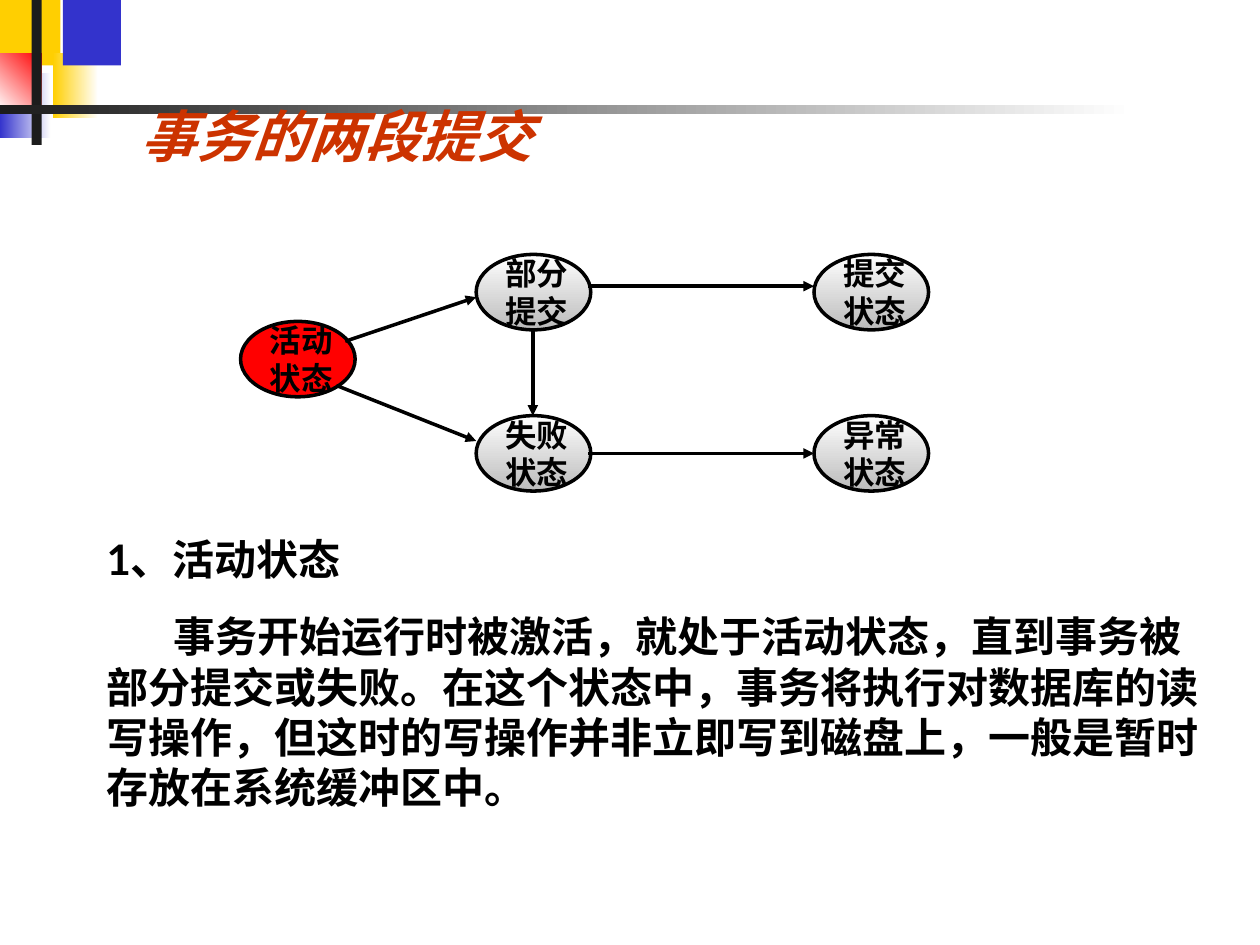
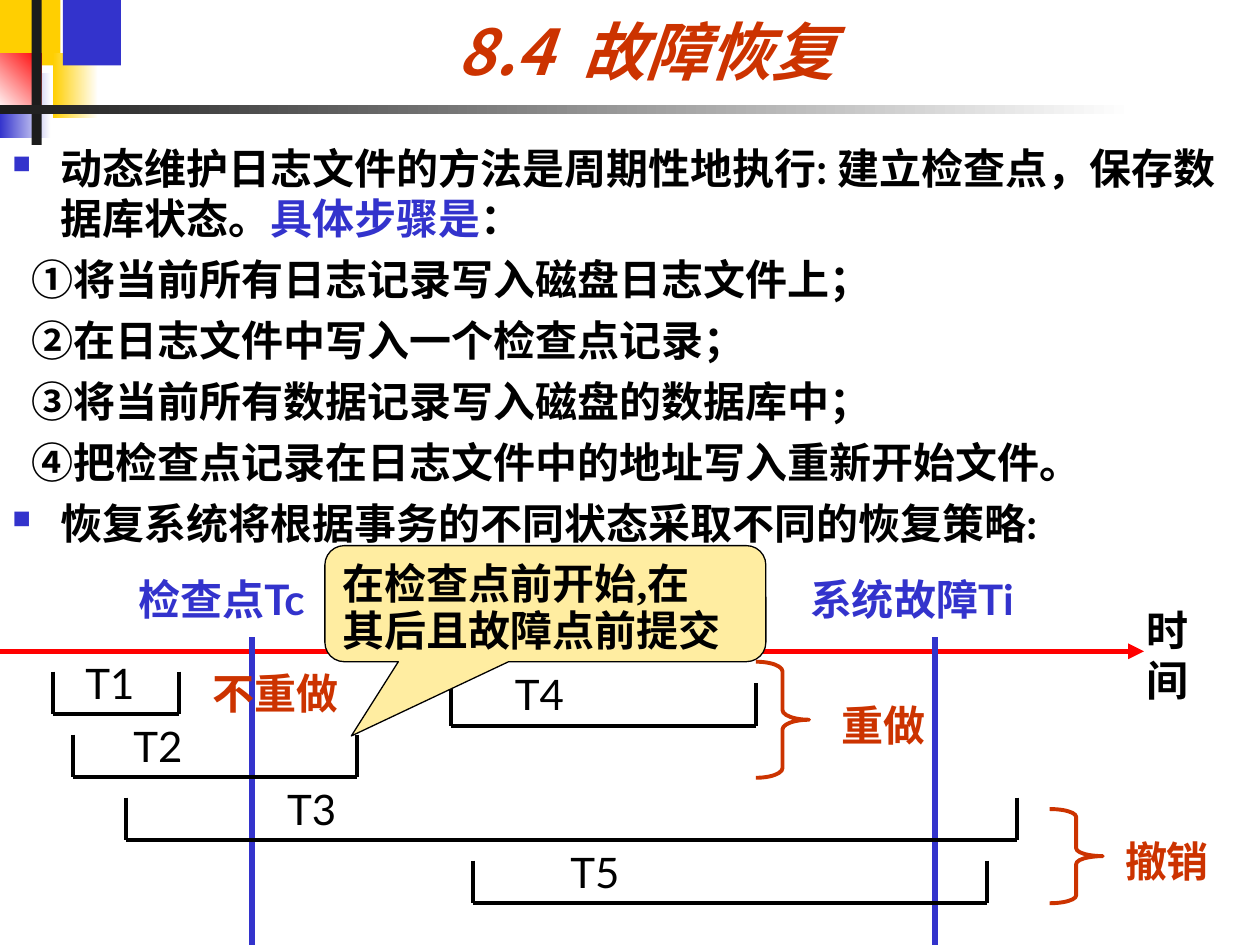
from lxml import etree
from pptx import Presentation
from pptx.dml.color import RGBColor
from pptx.enum.shapes import MSO_CONNECTOR, MSO_SHAPE
from pptx.enum.text import MSO_ANCHOR, MSO_AUTO_SIZE, PP_ALIGN
from pptx.oxml.ns import qn
from pptx.util import Cm, Pt

RECTANGLE, ELLIPSE = MSO_SHAPE.RECTANGLE, MSO_SHAPE.OVAL
BRACE, CALLOUT = MSO_SHAPE.RIGHT_BRACE, MSO_SHAPE.ROUNDED_RECTANGULAR_CALLOUT
STRAIGHT = MSO_CONNECTOR.STRAIGHT
TOP, MIDDLE, BOTTOM = MSO_ANCHOR.TOP, MSO_ANCHOR.MIDDLE, MSO_ANCHOR.BOTTOM
LEFT, CENTER = PP_ALIGN.LEFT, PP_ALIGN.CENTER
NO_FIT = MSO_AUTO_SIZE.NONE

BLACK, WHITE, CHARCOAL, GREY = "000000", "FFFFFF", "1C1C1C", "BBBBBB"
RED, BLUE, YELLOW, CREAM, RUST = "FF0000", "3333CC", "FFCF01", "FFEDA1", "CC3300"
LATO, NOTO, TIMES = "Lato", "Noto Sans CJK SC", "Times New Roman"
HANGING = 0.97
LABEL_HEIGHT = 1.27

# Corner motif and rule: left, top, width, height, fill
DECORATION = [
    (0, 0, 1.22, 1.32, YELLOW),
    (1.07, 1.07, 0.91, 1.32, (YELLOW, WHITE, 0)),
    (1.27, 0, 1.17, 1.32, BLUE),
    (0, 1.47, 1.02, 1.32, (BLUE, WHITE, 0)),
    (0, 1.07, 0.84, 1.17, (WHITE, RED, 315)),
    (0.64, 0, 0.2, 2.92, CHARCOAL),
    (0, 2.11, 22.86, 0.2, (CHARCOAL, WHITE, 0)),
]


def rgb(color):
    return RGBColor.from_string(color)


def lengths(*values):
    return [Cm(value) for value in values]


def paint(shape, fill):
    """Fill with a colour, with (start, end, clockwise angle), or with nothing."""
    if fill is None:
        shape.fill.background()
    elif isinstance(fill, str):
        shape.fill.solid()
        shape.fill.fore_color.rgb = rgb(fill)
    else:
        start, end, angle = fill
        shape.fill.gradient()
        shape.fill.gradient_angle = (360 - angle) % 360
        for stop, color in zip(shape.fill.gradient_stops, (start, end)):
            stop.color.rgb = rgb(color)


def add_shape(page, kind, area, fill=None, line=None, weight=1):
    shape = page.shapes.add_shape(kind, *lengths(*area))
    shape.shadow.inherit = False
    paint(shape, fill)
    if line:
        shape.line.color.rgb = rgb(line)
        shape.line.width = Pt(weight)
    else:
        shape.line.fill.background()
    return shape


def add_line(page, start, end, color=BLACK, weight=2.0, arrow=False):
    line = page.shapes.add_connector(STRAIGHT, *lengths(*start, *end))
    line.line.color.rgb = rgb(color)
    line.line.width = Pt(weight)
    if arrow:
        etree.SubElement(line.line._get_or_add_ln(), qn("a:tailEnd"), type="triangle")
    etree.SubElement(line.element.spPr, qn("a:effectLst"))


def style(span, size, color, bold=True, italic=False, font=LATO):
    span.font.size = Pt(size)
    span.font.bold = bold
    span.font.italic = italic
    span.font.color.rgb = rgb(color)
    span.font.name = font
    etree.SubElement(span.font._element, qn("a:ea"), typeface=NOTO)


def write(frame, lines, size=24, color=BLACK, before=0, align=LEFT, **look):
    """Write one paragraph per line; a line given as a tuple holds several runs."""
    frame.text = "\n".join("" if isinstance(line, tuple) else line for line in lines)
    for number, (para, line) in enumerate(zip(frame.paragraphs, lines)):
        if isinstance(line, tuple):
            for part in line:
                para.add_run().text = part
        para.alignment = align
        para.space_before = Pt(before if number else 0)
        for span in para.runs:
            style(span, size, color, **look)


def indent(para, margin, first=0.0):
    properties = para._p.get_or_add_pPr()
    properties.set("marL", str(Cm(margin)))
    properties.set("indent", str(Cm(first)))
    return properties


def add_bullet(para):
    properties = indent(para, HANGING, -HANGING)
    tint = etree.SubElement(properties, qn("a:buClr"))
    etree.SubElement(tint, qn("a:srgbClr"), val=BLUE)
    etree.SubElement(properties, qn("a:buSzPct"), val="60000")
    etree.SubElement(properties, qn("a:buChar"), char="■")


def add_text(page, area, lines, wrap=True, **look):
    frame = page.shapes.add_textbox(*lengths(*area)).text_frame
    frame.word_wrap = wrap
    write(frame, lines, **look)
    return frame


def set_title(page, area, line, **look):
    title = page.shapes.title
    title.left, title.top, title.width, title.height = lengths(*area)
    frame = title.text_frame
    write(frame, [line], color=RUST, italic=True, **look)
    frame.auto_size = NO_FIT
    frame.vertical_anchor = BOTTOM
    return frame


def decorate_layout(layout, page):
    """Draw the decoration on a page, then move it behind the layout's placeholders."""
    for number, (*area, fill) in enumerate(DECORATION):
        element = add_shape(page, RECTANGLE, area, fill).element
        element.nvSpPr.cNvPr.set("id", str(20 + number))
        layout.shapes.element.insert(2 + number, element)


def add_state(page, left, top, lines, fill=(WHITE, GREY, 90)):
    state = add_shape(page, ELLIPSE, (left, top, 2.31, 1.52), fill, BLACK, 2)
    frame = state.text_frame
    frame.word_wrap = False
    frame.vertical_anchor = MIDDLE
    write(frame, lines, size=18)
    for para in frame.paragraphs:
        indent(para, HANGING, -HANGING)


def add_transaction(page, name, left, right, top, label_left, label_width):
    """Bracket the lifetime of a transaction and name it."""
    base = top + 0.86
    for start, end in [((left, top), (left, base)), ((right, top), (right, base)),
                       ((left, base), (right, base))]:
        add_line(page, start, end, weight=2.25)
    add_text(page, (label_left, top - 0.42, label_width, LABEL_HEIGHT), [name], bold=False)


def add_time_mark(page, x, label, label_left, label_width):
    add_line(page, (x, 12.85), (x, 19.05), BLUE, 3)
    add_text(page, (label_left, 11.43, label_width, LABEL_HEIGHT), [label], color=BLUE)


def add_brace(page, left, top, height, label, label_left, label_top):
    width = 1.07
    brace = add_shape(page, BRACE, (left, top, width, height), None, RUST, 2.25)
    brace.adjustments[0] = height / 12 / width
    add_text(page, (label_left, label_top, 2.34, LABEL_HEIGHT), [label], color=RUST)


def build_states(page):
    set_title(page, (2.57, 1.96, 20.52, 1.57), "事务的两段提交", size=32)
    middle, right, upper, lower = 9.6, 16.41, 5.13, 8.38
    add_state(page, 4.85, 6.48, ["活动", "状态"], RED)
    add_state(page, middle, upper, ["部分", "提交"])
    add_state(page, middle, lower, ["失败", "状态"])
    add_state(page, right, upper, ["提交", "状态"])
    add_state(page, right, lower, ["异常", "状态"])
    for start, end in [
        ((6.96, 6.88), (middle, 5.99)),
        ((6.78, 7.77), (middle, 8.89)),
        ((10.74, 6.63), (10.74, lower)),
        ((11.86, 5.77), (right, 5.77)),
        ((11.86, 9.14), (right, 9.14)),
    ]:
        add_line(page, start, end, arrow=True)
    frame = add_text(page, (1.9, 10.64, 22.61, 5.87), [
        "1、活动状态",
        "事务开始运行时被激活，就处于活动状态，直到事务被部分提交或失败。"
        "在这个状态中，事务将执行对数据库的读写操作，但这时的写操作并非立即写到磁盘上，"
        "一般是暂时存放在系统缓冲区中。",
    ], before=15)
    indent(frame.paragraphs[1], 0, 1.35)


def build_recovery(page):
    title = set_title(page, (2.97, 0, 20.12, 1.9), ("8.4", " ", "故障恢复"),
                      size=36, align=CENTER, font=NOTO)
    title.paragraphs[0].runs[1].font._element.set("spc", "900")

    steps = add_text(page, (0, 2.74, 25.4, 8.46), [
        ("动态维护日志文件的方法是周期性地执行: 建立检查点，保存数据库状态。", "具体步骤是", "："),
        "①将当前所有日志记录写入磁盘日志文件上；",
        "②在日志文件中写入一个检查点记录；",
        "③将当前所有数据记录写入磁盘的数据库中；",
        "④把检查点记录在日志文件中的地址写入重新开始文件。",
        "恢复系统将根据事务的不同状态采取不同的恢复策略:",
    ], before=6)
    first, *numbered, last = steps.paragraphs
    first.runs[1].font.color.rgb = rgb(BLUE)
    for para in (first, last):
        add_bullet(para)
    for para in numbered:
        indent(para, 0.38)

    add_line(page, (0, 13.13), (23.06, 13.13), RED, 3, arrow=True)
    add_text(page, (22.86, 12.06, 1.9, 2.29), ["时间"])
    add_time_mark(page, 18.85, "系统故障Ti", 16.08, 5.51)
    add_time_mark(page, 5.08, "检查点Tc", 2.54, 4.45)

    first_lane, lane_step = 13.54, 1.27
    for name, left, right, top, label_left, label_width in [
        ("T1", 1.07, 3.61, first_lane, 1.47, 1.9),
        ("T2", 1.47, 7.19, first_lane + lane_step, 2.44, 4.29),
        ("T3", 2.54, 20.51, first_lane + 2 * lane_step, 5.54, 13.46),
        ("T4", 9.09, 15.24, 13.77, 10.13, 4.6),
        ("T5", 9.53, 19.89, first_lane + 3 * lane_step, 11.25, 7.77),
    ]:
        add_transaction(page, name, left, right, top, label_left, label_width)

    callout = add_shape(page, CALLOUT, (6.55, 11, 8.89, 2.34), CREAM, BLACK, 0.75)
    callout.adjustments[0] = -0.44
    callout.adjustments[1] = 1.14
    frame = callout.text_frame
    frame.vertical_anchor = TOP
    write(frame, ["在检查点前开始,在", "其后且故障点前提交"], before=6, font=TIMES)
    frame.paragraphs[1].line_spacing = 0.7

    add_brace(page, 21.16, 16.31, 1.9, "撤销", 22.43, 16.71)
    add_brace(page, 15.24, 13.34, 2.34, "重做", 16.71, 13.97)
    add_text(page, (4.04, 13.34, 3.05, LABEL_HEIGHT), ["不重做"], wrap=False, color=RUST)


def main():
    deck = Presentation()
    deck.slide_width, deck.slide_height = lengths(25.4, 19.05)
    layout = deck.slide_layouts[5]
    states, recovery = [deck.slides.add_slide(layout) for _ in range(2)]
    decorate_layout(layout, states)
    build_states(states)
    build_recovery(recovery)
    deck.save("out.pptx")


if __name__ == "__main__":
    main()
